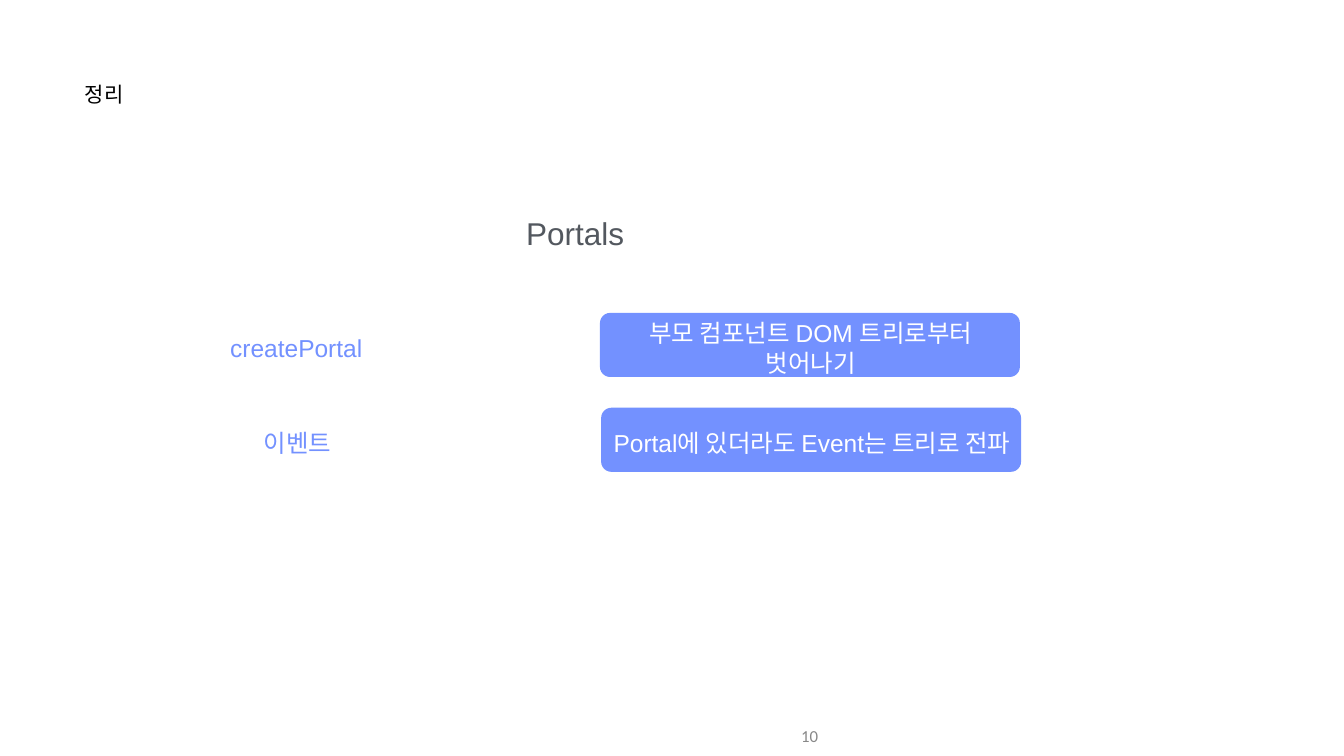
"""Build the summary slide about portals."""
import dataclasses

import pptx
import pptx.dml.color
import pptx.enum.shapes
import pptx.enum.text
import pptx.util

Cm = pptx.util.Cm
Align = pptx.enum.text.PP_ALIGN
Anchor = pptx.enum.text.MSO_ANCHOR


@dataclasses.dataclass(frozen=True)
class Theme:
    """Colours, fonts and type sizes."""
    black: str = "000000"
    slate: str = "53585F"
    gray: str = "888888"
    accent: str = "7391FF"
    white: str = "FFFFFF"
    font: str = "Arial"
    number_font: str = "Calibri"
    title: int = 30
    heading: int = 45
    body: int = 35
    number: int = 24


class SlideBuilder:
    """Hold the theme and the current slide."""

    def __init__(self, theme, page):
        """Keep the theme and page."""
        self.theme = theme
        self.page = page

    def fill_text(self, box, text, size, color, align, anchor, font=None, margins=(0.03, 0.03)):
        """Fill a box with one formatted paragraph."""
        frame = box.text_frame
        side, edge = map(Cm, margins)
        layout = {"word_wrap": True, "auto_size": pptx.enum.text.MSO_AUTO_SIZE.NONE,
                  "vertical_anchor": anchor, "margin_left": side, "margin_right": side,
                  "margin_top": edge, "margin_bottom": edge}
        for name, value in layout.items():
            setattr(frame, name, value)
        para = frame.paragraphs[0]
        para.alignment = align
        span = para.add_run()
        span.text = text
        style = {"name": font or self.theme.font, "size": pptx.util.Pt(size), "bold": False}
        for name, value in style.items():
            setattr(span.font, name, value)
        span.font.color.rgb = pptx.dml.color.RGBColor.from_string(color)

    def title(self, text, left, top, width, height):
        """Place and format the title placeholder."""
        box = self.page.shapes.title
        place = {"left": left, "top": top, "width": width, "height": height}
        for name, value in place.items():
            setattr(box, name, Cm(value))
        self.fill_text(box, text, self.theme.title, self.theme.black, Align.LEFT, Anchor.TOP)

    def text(self, text, place, size, color, align=Align.CENTER, anchor=Anchor.MIDDLE, **style):
        """Add a text box."""
        box = self.page.shapes.add_textbox(*map(Cm, place))
        self.fill_text(box, text, size, color, align, anchor, **style)

    def card(self, left, top, width, height):
        """Add a rounded accent card."""
        kind = pptx.enum.shapes.MSO_SHAPE.ROUNDED_RECTANGLE
        card = self.page.shapes.add_shape(kind, *map(Cm, (left, top, width, height)))
        card.adjustments[0] = 0.16
        card.shadow.inherit = False
        card.fill.solid()
        card.fill.fore_color.rgb = pptx.dml.color.RGBColor.from_string(self.theme.accent)
        card.line.fill.background()

    def row(self, label, detail, left, top):
        """Add a label and its card."""
        card_left, card_width, text_height = left + 23.24, 21.16, 1.57
        text_top = top + 0.97
        self.card(card_left, top, card_width, 3.23)
        self.text(label, (left, text_top, 15.88, text_height), self.theme.body, self.theme.accent)
        self.text(detail, (card_left + 0.05, text_top, card_width, text_height),
                  self.theme.body, self.theme.white)


def main():
    """Build and save the deck."""
    deck = pptx.Presentation()
    deck.slide_width, deck.slide_height = Cm(67.72), Cm(38.1)
    theme = Theme()
    builder = SlideBuilder(theme, deck.slides.add_slide(deck.slide_layouts[5]))
    builder.title("정리", 4.24, 4.06, 12.34, 3)
    builder.text("Portals", (6.71, 10.77, 44.55, 2), theme.heading, theme.slate, anchor=Anchor.TOP)
    rows = [("createPortal", "부모 컴포넌트 DOM 트리로부터 벗어나기"),
            ("이벤트", "Portal에 있더라도 Event는 트리로 전파")]
    for index, (label, detail) in enumerate(rows):
        builder.row(label, detail, 6.99 + 0.06 * index, 15.77 + 4.78 * index)
    builder.text("10", (26.24, 36.09, 15.24, 2), theme.number, theme.gray, align=Align.RIGHT,
                 font=theme.number_font, margins=(0.25, 0.13))
    deck.save("out.pptx")


if __name__ == "__main__":
    main()
